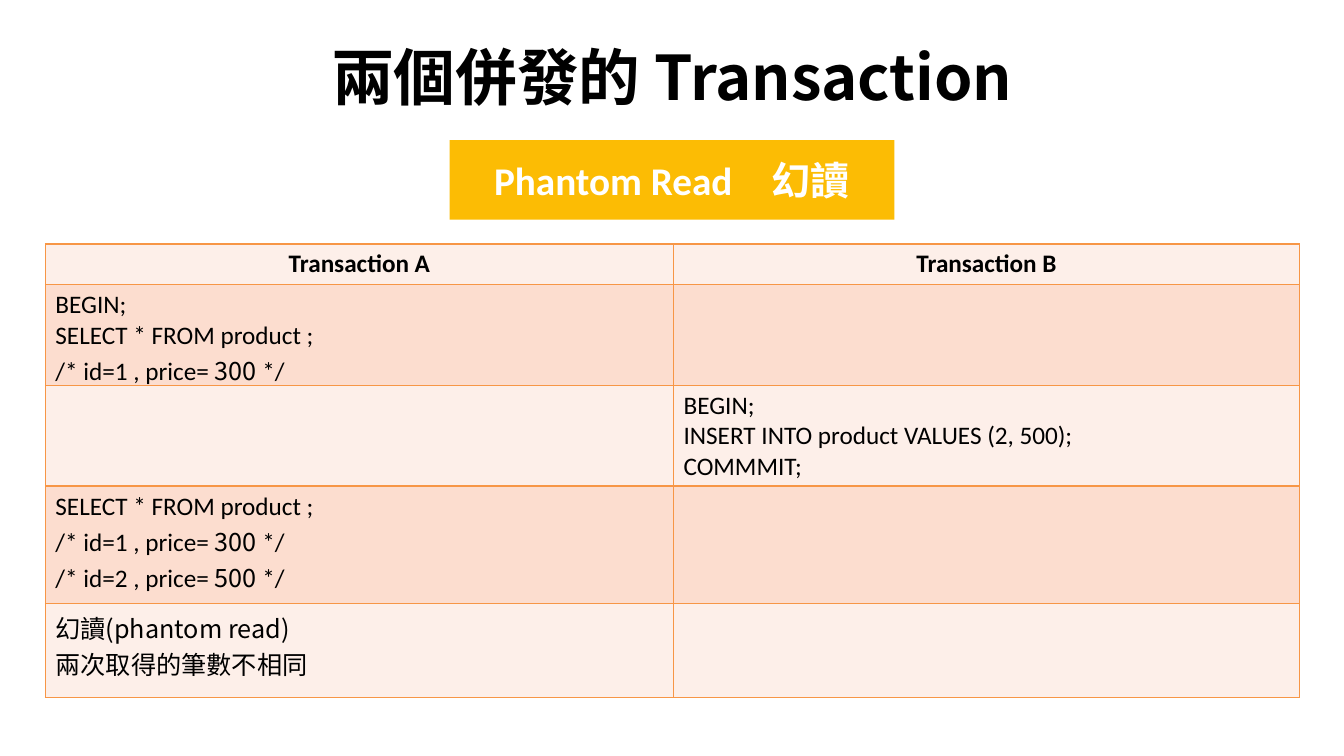
from lxml.etree import SubElement
from pptx import Presentation
from pptx.dml.color import RGBColor
from pptx.enum.shapes import MSO_SHAPE
from pptx.enum.text import MSO_ANCHOR, PP_ALIGN
from pptx.oxml.ns import qn
from pptx.util import Inches, Pt

BLACK = RGBColor(0x00, 0x00, 0x00)
WHITE = RGBColor(0xFF, 0xFF, 0xFF)
AMBER = RGBColor(0xFC, 0xBC, 0x04)
ORANGE = RGBColor(0xF7, 0x96, 0x46)
BANDS = [RGBColor(0xFD, 0xEF, 0xE9), RGBColor(0xFC, 0xDD, 0xCF)]

LATIN = "Calibri"
CJK_JP = "Noto Sans CJK JP"
CJK_SC = "Noto Sans CJK SC"


def add_run(p, text, size, font=LATIN, color=BLACK, bold=False):
    """Add a run; a newline in the text becomes a line break."""
    for i, line in enumerate(text.split("\n")):
        if i:
            p.add_line_break()
        r = p.add_run()
        r.text = line
        r.font.size = Pt(size)
        r.font.bold = bold
        r.font.color.rgb = color
        r.font.name = font
        SubElement(r._r.get_or_add_rPr(), qn("a:ea"), typeface=font)


def add_title(s, text):
    sp = s.shapes.title
    sp.left, sp.top = Inches(0.67), Inches(0.13)
    sp.width, sp.height = Inches(12), Inches(1.25)
    tf = sp.text_frame
    tf.vertical_anchor = MSO_ANCHOR.MIDDLE
    p = tf.paragraphs[0]
    p.alignment = PP_ALIGN.CENTER
    add_run(p, text, 44, CJK_JP, bold=True)


def add_banner(s, runs):
    group = s.shapes.add_group_shape()
    box = group.shapes.add_shape(MSO_SHAPE.RECTANGLE, Inches(4.46),
                                 Inches(1.39), Inches(4.41), Inches(0.79))
    box.shadow.inherit = False
    box.fill.solid()
    box.fill.fore_color.rgb = AMBER
    box.line.fill.background()
    label = group.shapes.add_textbox(Inches(4.67), Inches(1.5),
                                     Inches(3.99), Inches(0.57))
    tf = label.text_frame
    tf.word_wrap = True
    tf.vertical_anchor = MSO_ANCHOR.MIDDLE
    p = tf.paragraphs[0]
    p.alignment = PP_ALIGN.CENTER
    for text, font in runs:
        add_run(p, text, 28, font, WHITE, bold=True)


def set_borders(cell):
    tcPr = cell._tc.get_or_add_tcPr()
    for i, side in enumerate(("lnL", "lnR", "lnT", "lnB")):
        ln = tcPr.makeelement(qn(f"a:{side}"), {"w": str(Pt(1))})
        fill = SubElement(ln, qn("a:solidFill"))
        SubElement(fill, qn("a:srgbClr"), val=str(ORANGE))
        tcPr.insert(i, ln)


def fill_cell(cell, paragraphs, band, header):
    cell.fill.solid()
    cell.fill.fore_color.rgb = band
    set_borders(cell)
    tf = cell.text_frame
    for i, runs in enumerate(paragraphs):
        p = tf.add_paragraph() if i else tf.paragraphs[0]
        if header:
            p.alignment = PP_ALIGN.CENTER
        for text, font in runs:
            add_run(p, text, 18, font, bold=header)


def add_timeline(s, rows, widths, heights):
    table = s.shapes.add_table(len(rows), len(widths), Inches(0.45),
                               Inches(2.42), Inches(sum(widths)),
                               Inches(sum(heights))).table
    for column, width in zip(table.columns, widths):
        column.width = Inches(width)
    for i, (row, height) in enumerate(zip(rows, heights)):
        table.rows[i].height = Inches(height)
        for j, paragraphs in enumerate(row):
            fill_cell(table.cell(i, j), paragraphs, BANDS[i % 2], i == 0)


def plain(text, font=LATIN):
    return [(text, font)]


def price_note(product_id, price, before=""):
    return [(f"{before}/* id={product_id} , price= ", LATIN),
            (price, CJK_SC), (" */", LATIN)]


def main():
    prs = Presentation()
    prs.slide_width, prs.slide_height = Inches(13.33), Inches(7.5)
    s = prs.slides.add_slide(prs.slide_layouts[5])

    # Heading and topic banner
    add_title(s, "兩個併發的 Transaction")
    add_banner(s, [("Phantom Read", LATIN), ("\u3000幻讀", CJK_JP)])

    # Steps of the two transactions, top to bottom in time
    select = "SELECT * FROM product ;"
    rows = [
        [[plain("Transaction A")], [plain("Transaction B")]],
        [[price_note(1, "300", f"BEGIN;\n{select}\n")], []],
        [[], [plain("BEGIN;\nINSERT INTO product VALUES (2, 500);\nCOMMMIT;")]],
        [[plain(select), price_note(1, "300"), price_note(2, "500")], []],
        [[plain("幻讀(phantom read)\n兩次取得的筆數不相同", CJK_SC)], []],
    ]
    add_timeline(s, rows, [6.23, 6.21], [0.38, 0.96, 0.96, 1.17, 0.93])

    prs.save("out.pptx")


main()
